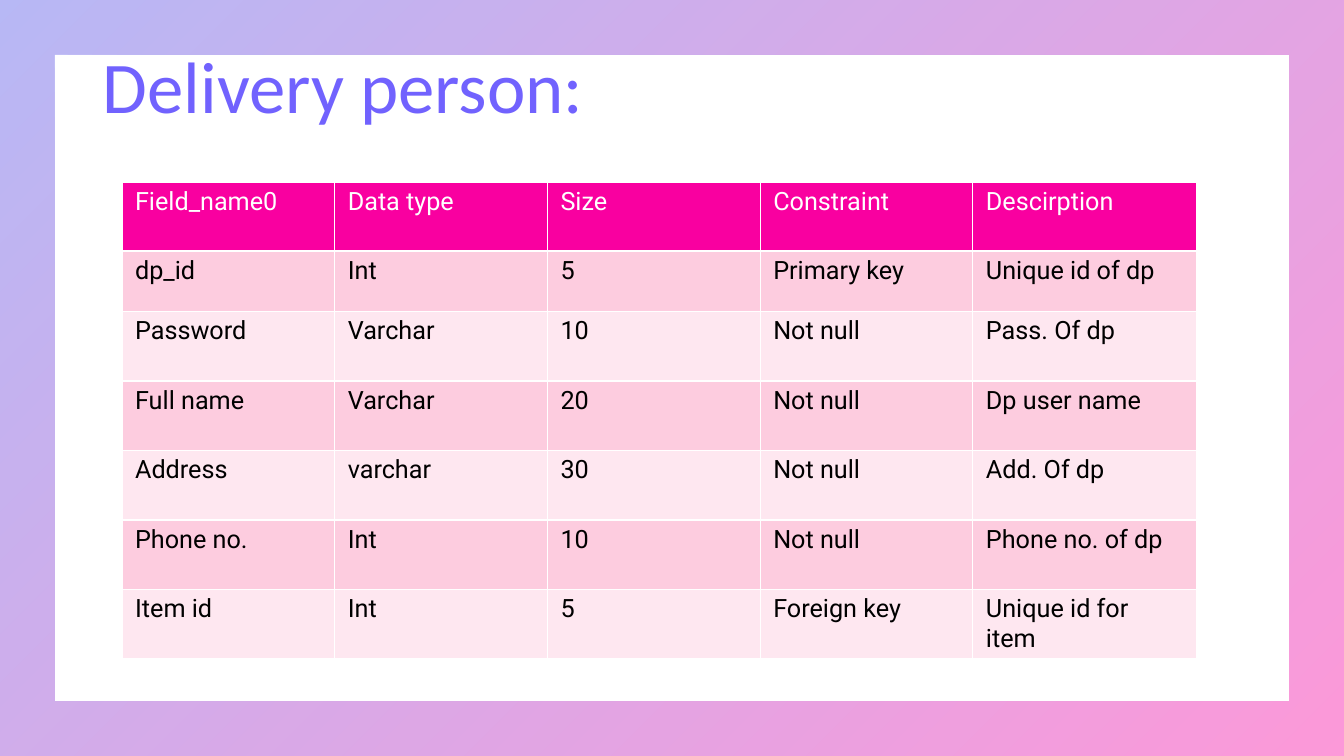
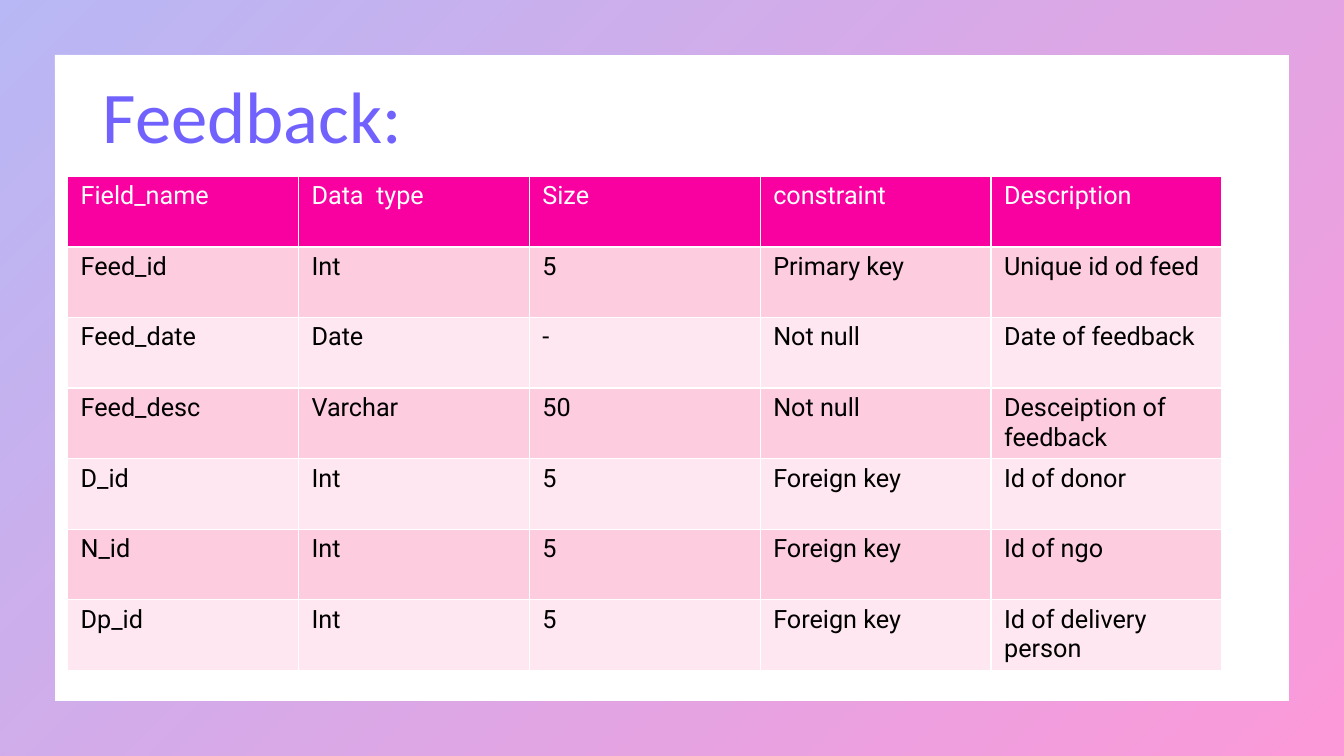
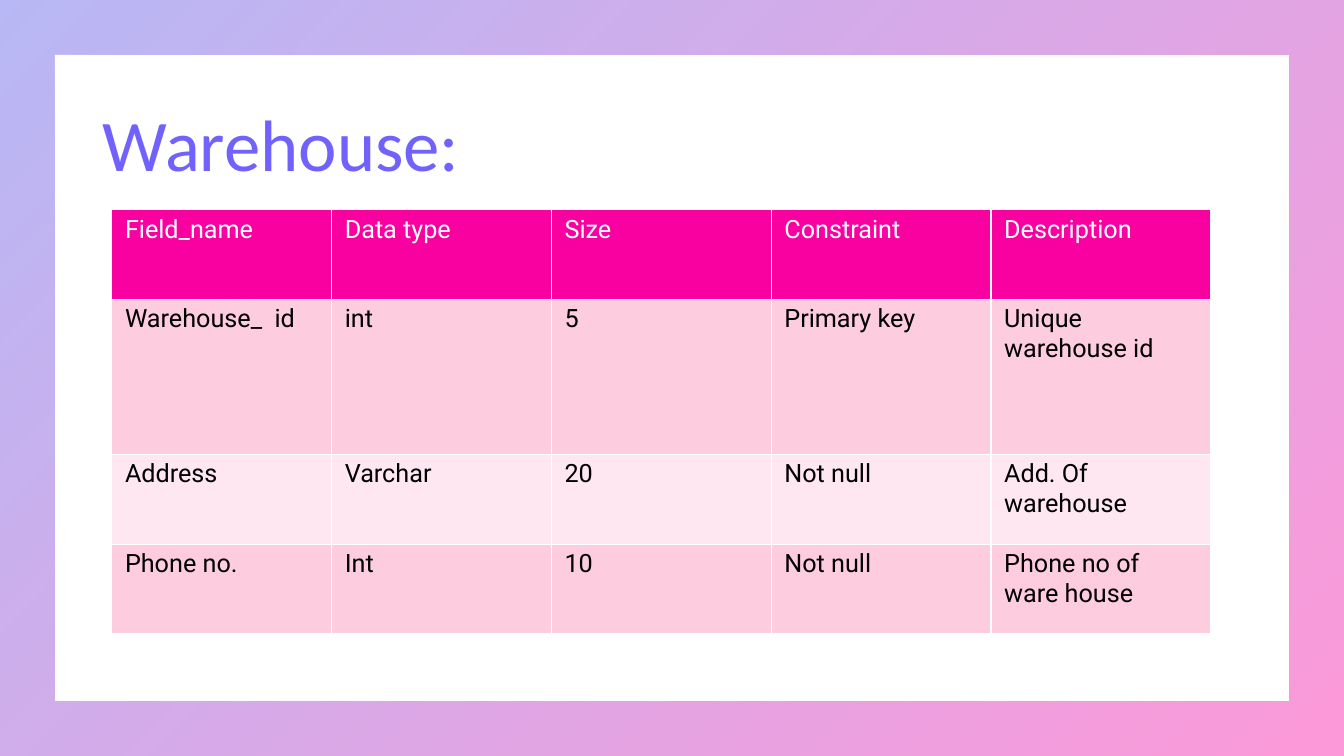
from dataclasses import dataclass

from lxml.etree import SubElement
from pptx import Presentation
from pptx.dml.color import RGBColor
from pptx.enum.shapes import MSO_SHAPE
from pptx.enum.text import MSO_ANCHOR, MSO_AUTO_SIZE, PP_ALIGN
from pptx.oxml.ns import qn
from pptx.util import Inches, Pt


@dataclass(frozen=True)
class Theme:
    blue: RGBColor = RGBColor.from_string("4D4EE6")
    pink: RGBColor = RGBColor.from_string("F900A0")
    title: RGBColor = RGBColor.from_string("7162FE")
    dark: RGBColor = RGBColor.from_string("FDCCDF")
    light: RGBColor = RGBColor.from_string("FEE7F0")
    white: RGBColor = RGBColor.from_string("FFFFFF")
    black: RGBColor = RGBColor.from_string("000000")
    head_font: str = "Calibri"
    body_font: str = "Roboto"
    head_size: Pt = Pt(52)
    body_size: Pt = Pt(18)
    alpha: str = "40000"


def style(para, name, size, color):
    font = para.font
    font.name, font.size, font.bold = name, size, False
    font.color.rgb = color


theme = Theme()
pages = [
    {
        "title": "Delivery person:", "top": 0.17, "at": (1.21, 1.81),
        "cols": [2.11] * 4 + [2.22], "rows": [0.68, 0.6] + [0.69] * 5,
        "cells": [
            ("Field_name0", "Data type", "Size", "Constraint", "Descirption"),
            ("dp_id", "Int", "5", "Primary key", "Unique id of dp"),
            ("Password", "Varchar", "10", "Not null", "Pass. Of dp"),
            ("Full name", "Varchar", "20", "Not null", "Dp user name"),
            ("Address", "varchar", "30", "Not null", "Add. Of dp"),
            ("Phone no.", "Int", "10", "Not null", "Phone no. of dp"),
            ("Item id", "Int", "5", "Foreign key", "Unique id for item"),
        ],
    },
    {
        "title": "Feedback:", "top": 0.46, "at": (0.67, 1.75),
        "cols": [2.29] * 5, "rows": [0.7] * 7,
        "cells": [
            ("Field_name", "Data  type", "Size", "constraint", "Description"),
            ("Feed_id", "Int", "5", "Primary key", "Unique id od feed"),
            ("Feed_date", "Date", "-", "Not null", "Date of feedback"),
            ("Feed_desc", "Varchar", "50", "Not null", "Desceiption of feedback"),
            ("D_id", "Int", "5", "Foreign key", "Id of donor"),
            ("N_id", "Int", "5", "Foreign key", "Id of ngo"),
            ("Dp_id", "Int", "5", "Foreign key", "Id of delivery person"),
        ],
    },
    {
        "title": "Warehouse:", "top": 0.74, "at": (1.11, 2.08),
        "cols": [2.18] * 5, "rows": [0.89, 1.54, 0.89, 0.89],
        "cells": [
            ("Field_name", "Data type", "Size", "Constraint", "Description"),
            ("Warehouse_  id", "int", "5", "Primary key", "Unique warehouse id"),
            ("Address", "Varchar", "20", "Not null", "Add. Of warehouse"),
            ("Phone no.", "Int", "10", "Not null", "Phone no of ware house"),
        ],
    },
]

deck = Presentation()
deck.slide_width, deck.slide_height = Inches(13.33), Inches(7.5)

for page in pages:
    slide = deck.slides.add_slide(deck.slide_layouts[5])
    title = slide.shapes.title
    title.left, title.top = Inches(0.92), Inches(page["top"])
    title.width, title.height = Inches(11.5), Inches(1.45)
    box = title.text_frame
    box.text = page["title"]
    box.auto_size = MSO_AUTO_SIZE.NONE
    box.vertical_anchor = MSO_ANCHOR.MIDDLE
    para = box.paragraphs[0]
    para.alignment = PP_ALIGN.LEFT
    para.line_spacing = 0.9
    style(para, theme.head_font, theme.head_size, theme.title)

    cols, rows = page["cols"], page["rows"]
    left, top = page["at"]
    table = slide.shapes.add_table(
        len(rows), len(cols), Inches(left), Inches(top),
        Inches(sum(cols)), Inches(sum(rows))).table
    for col, width in zip(table.columns, cols):
        col.width = Inches(width)
    for i, (row, height, texts) in enumerate(zip(table.rows, rows, page["cells"])):
        row.height = Inches(height)
        fill = theme.dark if i % 2 else theme.light
        for cell, text in zip(row.cells, texts):
            cell.text = text
            cell.margin_left = cell.margin_right = Inches(0.13)
            cell.margin_top = cell.margin_bottom = Inches(0.05)
            cell.fill.solid()
            cell.fill.fore_color.rgb = fill if i else theme.pink
            style(cell.text_frame.paragraphs[0], theme.body_font,
                  theme.body_size, theme.black if i else theme.white)

frame = deck.slides[0].shapes.add_shape(
    MSO_SHAPE.FRAME, 0, 0, deck.slide_width, deck.slide_height)
frame.adjustments[0] = 0.072
frame.shadow.inherit = False
frame.line.fill.background()
frame.fill.gradient()
frame.fill.gradient_angle = 315
for stop, color in zip(frame.fill.gradient_stops, (theme.blue, theme.pink)):
    stop.color.rgb = color
node = frame._element
for color in node.iter(qn("a:srgbClr")):
    SubElement(color, qn("a:alpha"), val=theme.alpha)
node.nvSpPr.cNvPr.id = 20
deck.slide_master.shapes._spTree.insert(2, node)

deck.save("out.pptx")
